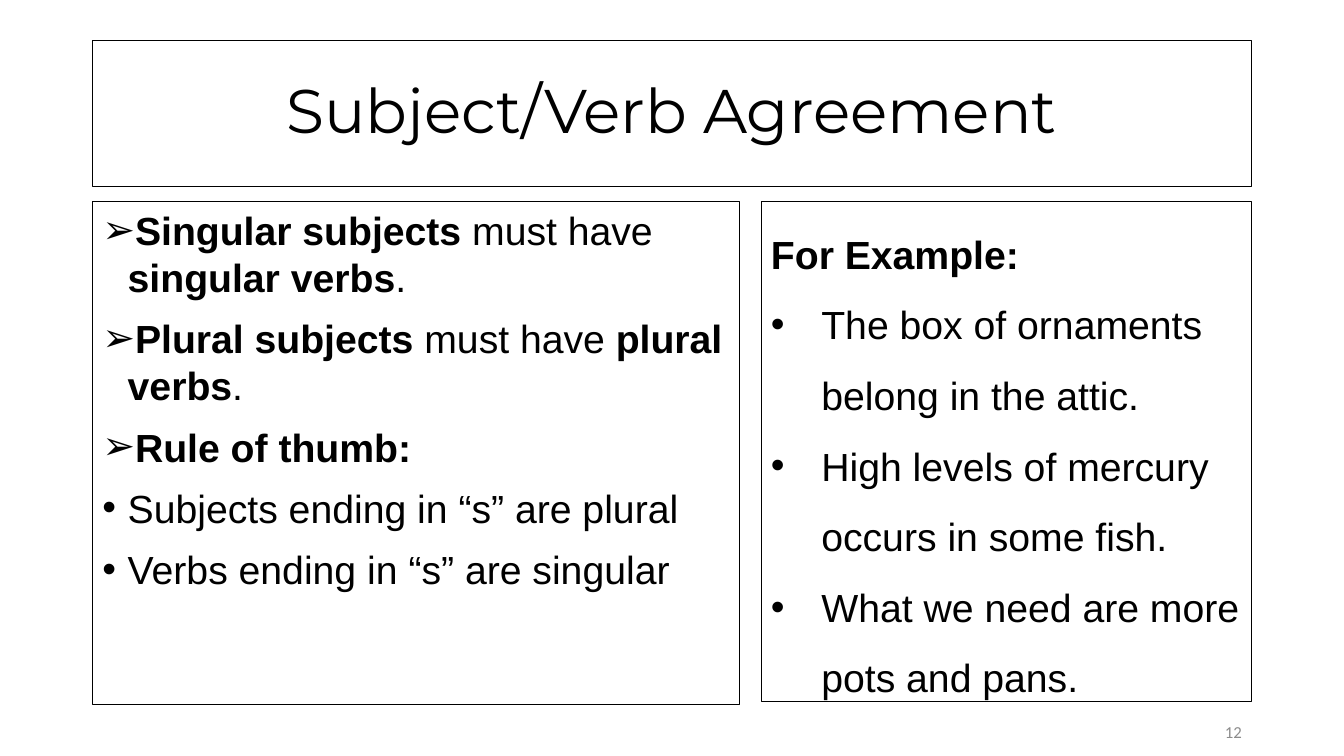
from lxml import etree
from pptx import Presentation
from pptx.dml.color import RGBColor
from pptx.enum.shapes import MSO_SHAPE
from pptx.enum.text import MSO_ANCHOR as Anchor, PP_ALIGN as Align
from pptx.oxml.ns import qn
from pptx.util import Cm, Pt

COLORS = {"ink": "000000", "number": "8C8C8C"}
LEFT, TOP, COLUMN_TOP = 2.33, 1.02, 5.08

RULES = [
    ("➢", ["Singular subjects ", "must have ", "singular verbs", "."]),
    ("➢", ["Plural subjects ", "must have ", "plural verbs", "."]),
    ("➢", ["Rule of thumb:"]),
    ("•", ["", "Subjects ending in “s” are plural"]),
    ("•", ["", "Verbs ending in “s” are singular"]),
]
EXAMPLES = [
    (None, ["For Example:"]),
    ("•", ["", "The box of ornaments belong in the attic."]),
    ("•", ["", "High levels of mercury occurs in some fish."]),
    ("•", ["", "What we need are more pots and pans."]),
]


def add_bullet(para, mark, indent):
    """Hang the paragraph behind a bullet mark."""
    settings = para._p.get_or_add_pPr()
    settings.set("marL", str(Cm(indent)))
    settings.set("indent", str(-Cm(indent)))
    etree.SubElement(settings, qn("a:buFont"), typeface="Arial")
    etree.SubElement(settings, qn("a:buChar"), char=mark)


def write(box, lines, *, font="Arial", size=28, color="ink", align=Align.LEFT,
          anchor=Anchor.TOP, indent=0.0, spacing=1.0, before=0):
    """Write (bullet, spans) lines; spans alternate between bold and regular."""
    frame = box.text_frame
    frame.word_wrap = True
    frame.vertical_anchor = anchor
    for index, (mark, spans) in enumerate(lines):
        para = frame.add_paragraph() if index else frame.paragraphs[0]
        if mark:
            add_bullet(para, mark, indent)
        para.alignment = align
        para.line_spacing = spacing
        para.space_before = Pt(before if index else 0)
        for position, text in enumerate(spans):
            if not text:
                continue
            span = para.add_run()
            span.text = text
            span.font.name = font
            span.font.size = Pt(size)
            span.font.bold = position % 2 == 0
            span.font.color.rgb = RGBColor.from_string(COLORS[color])


def add_panel(page, left, top, width, height):
    """Add an unfilled rectangle with a thin outline."""
    panel = page.shapes.add_shape(
        MSO_SHAPE.RECTANGLE, Cm(left), Cm(top), Cm(width), Cm(height))
    panel.shadow.inherit = False
    panel.fill.background()
    panel.line.color.rgb = RGBColor.from_string(COLORS["ink"])
    panel.line.width = Pt(0.75)
    return panel


def main():
    deck = Presentation()
    deck.slide_width, deck.slide_height = Cm(33.87), Cm(19.05)
    page = deck.slides.add_slide(deck.slide_layouts[6])

    title = add_panel(page, LEFT, TOP, 29.21, 3.68)
    write(title, [(None, ["", "Subject/Verb Agreement"])], font="Montserrat",
          size=44, align=Align.CENTER, anchor=Anchor.MIDDLE, spacing=0.9)

    rules = add_panel(page, LEFT, COLUMN_TOP, 16.31, 12.67)
    write(rules, RULES, indent=0.64, before=10)

    examples = add_panel(page, 19.18, COLUMN_TOP, 12.35, 12.6)
    write(examples, EXAMPLES, indent=1.27, spacing=1.5)

    number = page.shapes.add_textbox(Cm(23.93), Cm(17.93), Cm(7.62), Cm(1.02))
    write(number, [(None, ["", "12"])], font="Calibri", size=12,
          color="number", align=Align.RIGHT, anchor=Anchor.MIDDLE)

    deck.save("out.pptx")


if __name__ == "__main__":
    main()
